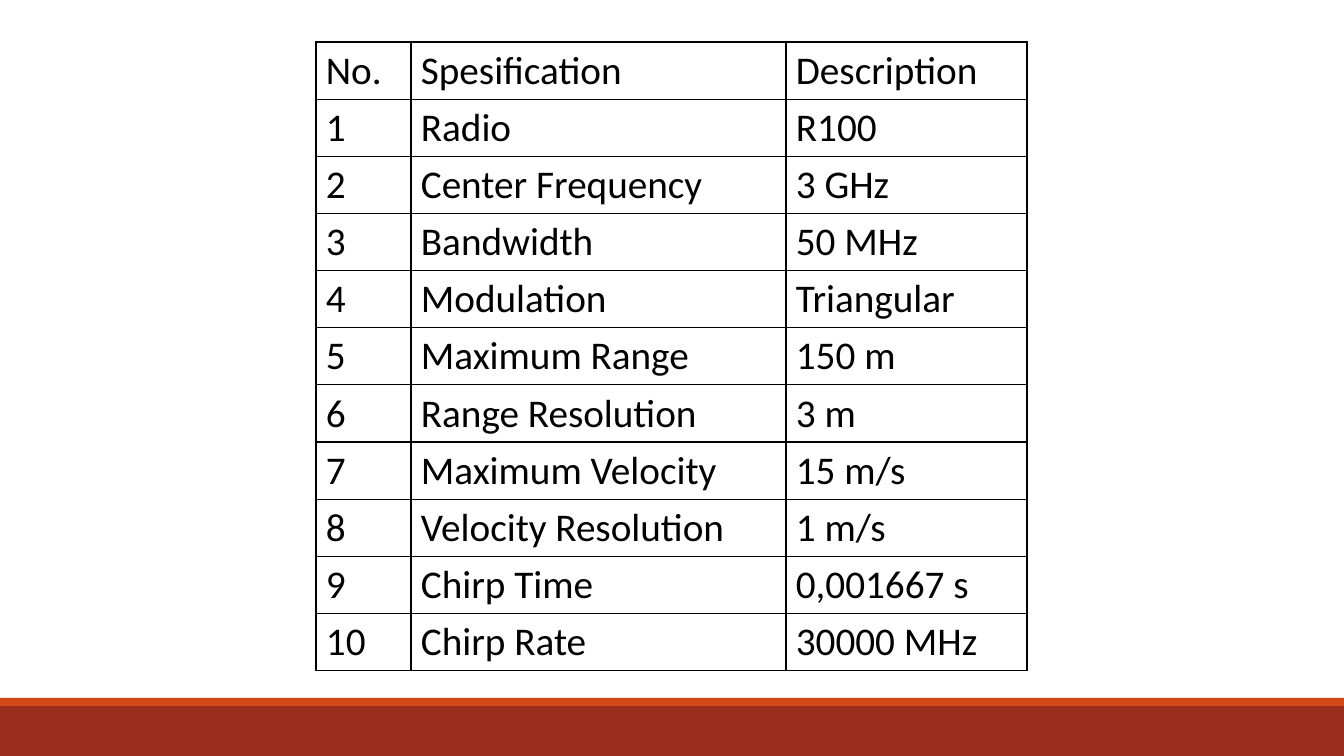
from lxml.etree import SubElement
from pptx import Presentation
from pptx.dml.color import RGBColor
from pptx.enum.shapes import MSO_SHAPE as Shape
from pptx.enum.text import MSO_ANCHOR as Anchor
from pptx.oxml.ns import qn
from pptx.util import Pt

EMU_PER_PX = 914400 / 100.8
COLORS = {"text": "000000", "border": "000000", "footer": "9B2D1F", "stripe": "D34817"}
PAGE_BOX = (0, 0, 1344, 756)
TABLE_BOX = (316, 42, 711, 629)
COLUMN_WIDTHS = (95, 375, 241)
HEADERS = ("No.", "Spesification", "Description")
SPECIFICATIONS = (
    ("Radio", "R100"),
    ("Center Frequency", "3 GHz"),
    ("Bandwidth", "50 MHz"),
    ("Modulation", "Triangular"),
    ("Maximum Range", "150 m"),
    ("Range Resolution", "3 m"),
    ("Maximum Velocity", "15 m/s"),
    ("Velocity Resolution", "1 m/s"),
    ("Chirp Time", "0,001667 s"),
    ("Chirp Rate", "30000 MHz"),
)


def px(length):
    return round(length * EMU_PER_PX)


def color(name):
    return RGBColor.from_string(COLORS[name])


def write(frame, text, size=28, font="Calibri", fill="text"):
    span = frame.paragraphs[0].add_run()
    span.text = text
    span.font.size = Pt(size)
    span.font.name = font
    span.font.color.rgb = color(fill)


def add_borders(cell, width=1):
    properties = cell._tc.get_or_add_tcPr()
    for index, side in enumerate(("lnL", "lnR", "lnT", "lnB")):
        line = properties.makeelement(qn(f"a:{side}"), {"w": str(Pt(width))})
        fill = SubElement(line, qn("a:solidFill"))
        SubElement(fill, qn("a:srgbClr"), val=COLORS["border"])
        properties.insert(index, line)


def add_footer(page, box, height=50, stripe_height=8):
    left, top, width, full_height = box
    footer_top = top + full_height - height
    bands = (("footer", footer_top, height),
             ("stripe", footer_top - stripe_height, stripe_height))
    for name, band_top, band_height in bands:
        band = page.shapes.add_shape(
            Shape.RECTANGLE, px(left), px(band_top), px(width), px(band_height))
        band.shadow.inherit = False
        band.fill.solid()
        band.fill.fore_color.rgb = color(name)
        band.line.fill.background()


def add_specification_table(page, box):
    rows = [HEADERS]
    rows += [(str(number), *entry) for number, entry in enumerate(SPECIFICATIONS, 1)]
    table = page.shapes.add_table(
        len(rows), len(HEADERS), *(px(length) for length in box)).table
    table.first_row = table.horz_banding = False
    for column, width in zip(table.columns, COLUMN_WIDTHS):
        column.width = px(width)
    for row, texts in zip(table.rows, rows):
        row.height = px(box[3] / len(rows))
        for cell, text in zip(row.cells, texts):
            cell.fill.background()
            cell.vertical_anchor = Anchor.TOP
            cell.margin_left = cell.margin_right = px(10)
            cell.margin_top, cell.margin_bottom = px(5), px(4)
            add_borders(cell)
            write(cell.text_frame, text)


def main():
    deck = Presentation()
    deck.slide_width, deck.slide_height = px(PAGE_BOX[2]), px(PAGE_BOX[3])
    page = deck.slides.add_slide(deck.slide_layouts[6])
    # Bands along the bottom edge
    add_footer(page, PAGE_BOX)
    # Radar parameters
    add_specification_table(page, TABLE_BOX)
    deck.save("out.pptx")


if __name__ == "__main__":
    main()
